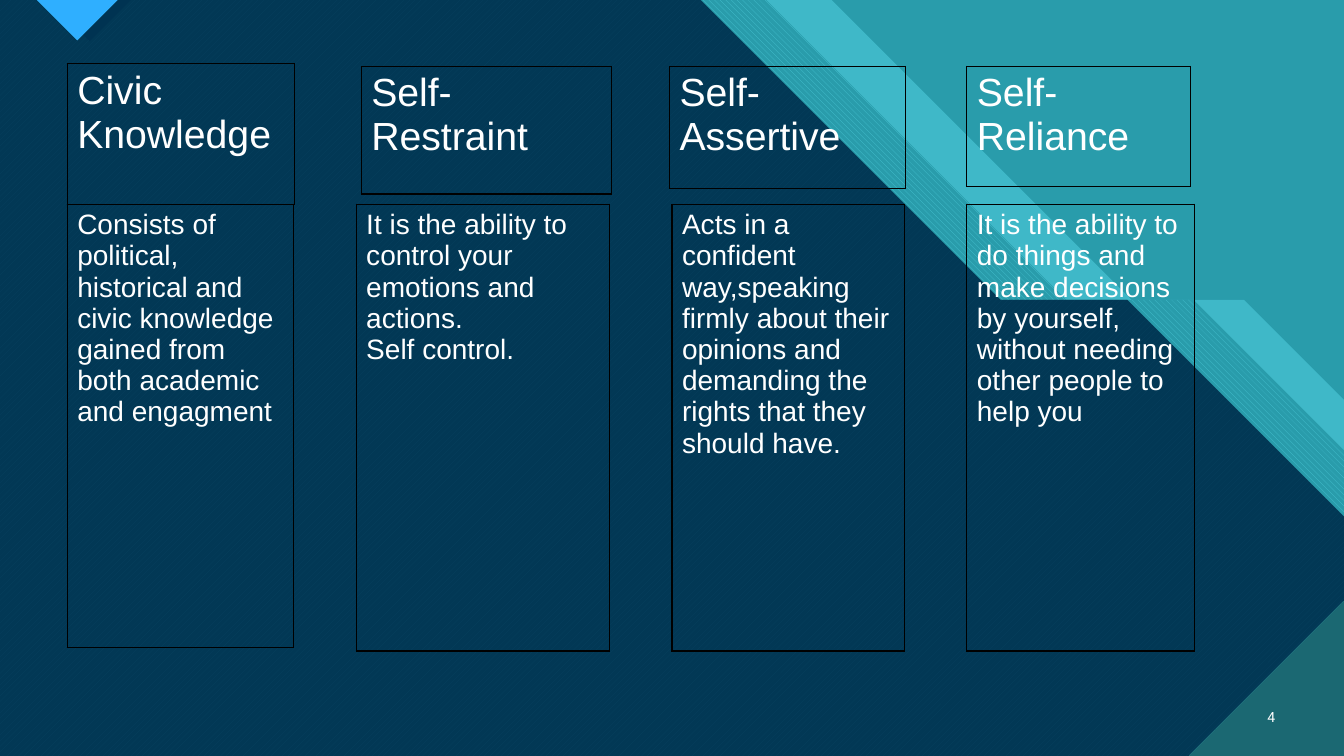
from dataclasses import dataclass
from lxml.etree import SubElement as Sub
from pptx import Presentation
from pptx.dml.color import RGBColor as Rgb
from pptx.enum.dml import MSO_PATTERN as Pat
from pptx.enum.shapes import MSO_SHAPE as Form
from pptx.enum.text import MSO_ANCHOR as Anchor, PP_ALIGN as Align
from pptx.oxml import parse_xml
from pptx.oxml.ns import nsdecls, qn
from pptx.util import Inches, Pt

COLS, ROWS = 160, 90
CELL = Inches(1) / 12


@dataclass(frozen=True)
class Theme:
    teal: str = "299CAB"
    aqua: str = "47C3D3"
    pine: str = "1B6872"
    navy: str = "003352"
    sky: str = "2FAFFF"
    white: str = "FFFFFF"
    black: str = "000000"
    font: str = "Arial"
    numfont: str = "Roboto"
    head: int = 28
    body: int = 20
    num: int = 10


@dataclass(frozen=True)
class Box:
    x: float
    y: float
    w: float
    h: float

    def emu(self):
        return [round(v * CELL) for v in (self.x, self.y, self.w, self.h)]

    def inner(self, x, y, w, h):
        return Box(self.x + x, self.y + y, w, h)


look = Theme()


def paint(shape, tint, alpha=None, weave=None, back=None):
    shape.shadow.inherit = False
    shape.line.fill.background()
    fill = shape.fill
    if weave:
        fill.patterned()
        fill.pattern = weave
        fill.fore_color.rgb = Rgb.from_string(tint)
        fill.back_color.rgb = Rgb.from_string(back)
        return
    fill.solid()
    fill.fore_color.rgb = Rgb.from_string(tint)
    if alpha:
        clr = shape._element.spPr.find(".//" + qn("a:srgbClr"))
        Sub(clr, qn("a:alpha"), val=str(alpha * 1000))


def trace(slide, box, points, *args):
    dots = [box.inner(x, y, 0, 0).emu()[:2] for x, y in points]
    pen = slide.shapes.build_freeform(*dots[0], scale=1.0)
    pen.add_line_segments(dots[1:], close=True)
    paint(pen.convert_to_shape(), *args)


def style(frame, size, font=look.font):
    for para in frame.paragraphs:
        for run in para.runs:
            run.font.size = Pt(size)
            run.font.name = font
            run.font.bold = False
            run.font.color.rgb = Rgb.from_string(look.white)


def band(slide, box, top, heel, *args):
    step = 35.7
    points = [(0, 0), (top, 0), (top + step, step), (heel, step),
              (box.w, step + box.w - heel), (box.w, box.h), (0, box.h)]
    trace(slide, box, points, *args)


def scene(slide, box):
    paint(slide.shapes.add_shape(Form.RECTANGLE, *box.emu()), look.teal)
    band(slide, box, 99, 148.1, look.aqua, 74)
    band(slide, box, 91.2, 142.1, look.aqua, None,
         Pat.WIDE_DOWNWARD_DIAGONAL, look.teal)
    navy = (83.4, 134.2)
    band(slide, box, *navy, look.aqua, None,
         Pat.WIDE_UPWARD_DIAGONAL, look.pine)
    band(slide, box, *navy, look.navy, 90)


def corners(slide, box):
    def tip(left, deep, *args):
        points = [(left, 0), (left + deep, deep), (left + 2 * deep, 0)]
        trace(slide, box, points, *args)

    tip(5.8, 4.9, look.navy)
    tip(4.4, 4.8, look.sky, None, Pat.DARK_HORIZONTAL, look.pine)
    side = 18.5
    points = [(box.w - side, box.h), (box.w, box.h), (box.w, box.h - side)]
    trace(slide, box, points, look.pine, None,
          Pat.DARK_HORIZONTAL, look.aqua)


def number(slide, box, text):
    frame = slide.shapes.add_textbox(*box.emu()).text_frame
    frame.word_wrap = True
    frame.vertical_anchor = Anchor.MIDDLE
    frame.text = text
    frame.paragraphs[0].alignment = Align.RIGHT
    style(frame, look.num, look.numfont)


def panel(slide, box, text, size):
    table = slide.shapes.add_table(1, 1, *box.emu()).table
    table.first_row = table.horz_banding = False
    cell = table.cell(0, 0)
    cell.text_frame.text = text
    style(cell.text_frame, size)
    cell.fill.background()
    props = cell._tc.get_or_add_tcPr()
    for spot, side in enumerate("LRTB"):
        props.insert(spot, parse_xml(
            f'<a:ln{side} {nsdecls("a")} w="{Pt(1)}"><a:solidFill>'
            f'<a:srgbClr val="{look.black}"/></a:solidFill></a:ln{side}>'))


def traits(slide, box, items):
    for _, _, spot, text in items:
        panel(slide, box.inner(*spot), text, look.body)
    for spot, text, _, _ in items:
        panel(slide, box.inner(*spot), text, look.head)


TRAITS = [
    ((0, 0, 27.1, 16.7), "Civic Knowledge", (0, 16.7, 26.9, 52.8),
     "Consists of political, historical and civic knowledge gained from "
     "both academic and engagment"),
    ((35, 0.3, 29.8, 15.2), "Self-Restraint", (34.4, 16.7, 30.2, 53.2),
     "It is the ability to control your emotions and actions.\n"
     "Self control."),
    ((71.7, 0.3, 28.1, 14.5), "Self-Assertive", (72, 16.7, 27.7, 53.2),
     "Acts in a confident way,speaking firmly about their opinions and "
     "demanding the rights that they should have."),
    ((107.1, 0.3, 26.6, 14.3), "Self-Reliance", (107.1, 16.7, 27.1, 53.2),
     "It is the ability to do things and make decisions by yourself, "
     "without needing other people to help you"),
]

deck = Presentation()
page = Box(0, 0, COLS, ROWS)
deck.slide_width, deck.slide_height = page.emu()[2:]
slide = deck.slides.add_slide(deck.slide_layouts[6])
scene(slide, page)
corners(slide, page)
number(slide, page.inner(147.7, 82.9, 5.3, 4.8), "4")
traits(slide, page.inner(8, 7.6, 134.2, 69.9), TRAITS)
deck.save("out.pptx")
